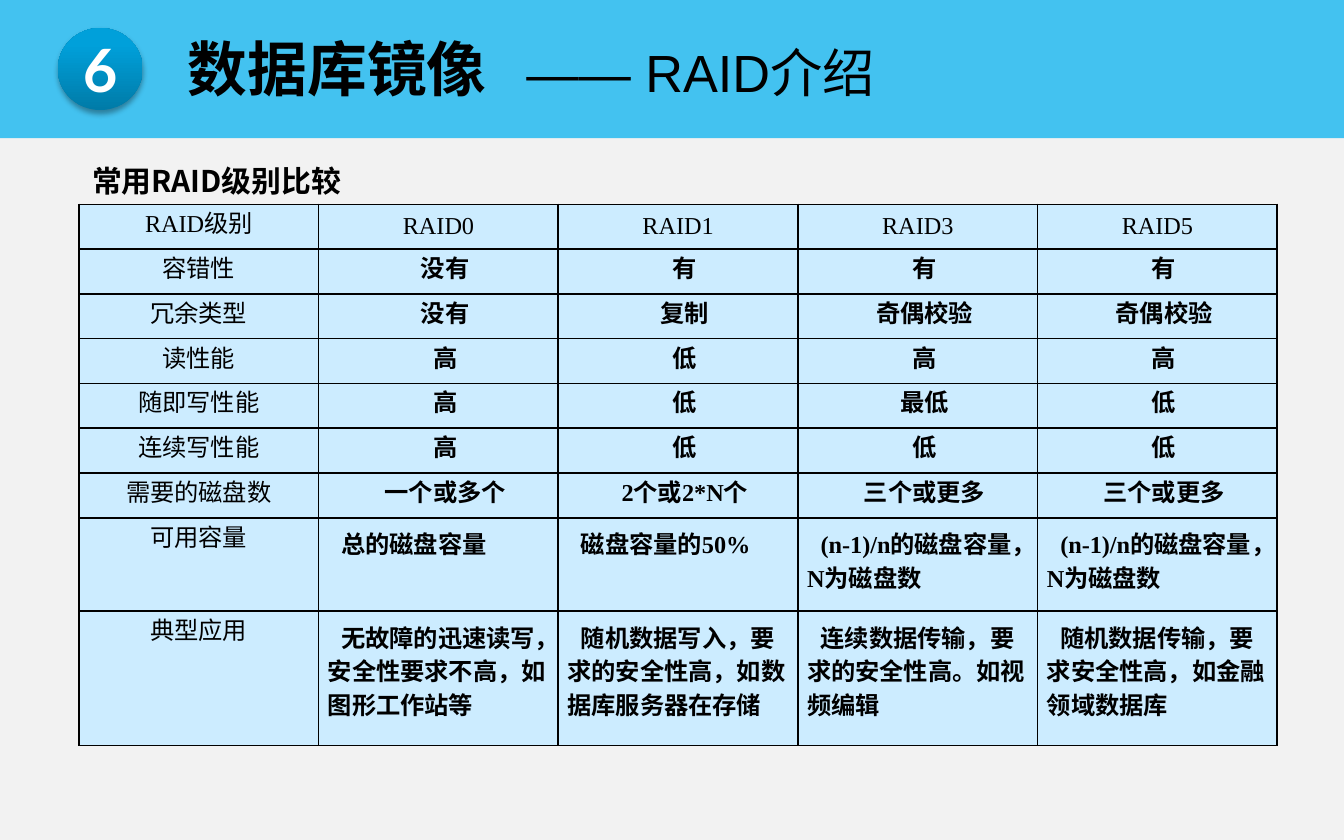
from lxml import etree
from pptx import Presentation
from pptx.dml.color import RGBColor
from pptx.enum.shapes import MSO_SHAPE as Preset
from pptx.enum.text import MSO_ANCHOR as Anchor, PP_ALIGN as Align
from pptx.oxml import parse_xml
from pptx.oxml.ns import nsdecls, qn
from pptx.util import Pt

COLORS = {
    "background": "F2F2F2",
    "band": "00B0F0",
    "cell": "CCECFF",
    "text": "000000",
    "border": "000000",
    "shadow": "000000",
    "white": "FFFFFF",
    "badge_dark": "007BA8",
    "badge_light": "00A0DA",
}
CJK_FONT = "Noto Sans CJK SC"
ROW_HEIGHTS = [24] * 7 + [50, 72]
PROSE_ROWS = 2
RAID_ROWS = [
    ["RAID级别", "RAID0", "RAID1", "RAID3", "RAID5"],
    ["容错性", "没有", "有", "有", "有"],
    ["冗余类型", "没有", "复制", "奇偶校验", "奇偶校验"],
    ["读性能", "高", "低", "高", "高"],
    ["随即写性能", "高", "低", "最低", "低"],
    ["连续写性能", "高", "低", "低", "低"],
    ["需要的磁盘数", "一个或多个", "2个或2*N个", "三个或更多", "三个或更多"],
    ["可用容量", "总的磁盘容量", "磁盘容量的50%",
     "(n-1)/n的磁盘容量，N为磁盘数", "(n-1)/n的磁盘容量，N为磁盘数"],
    ["典型应用", "无故障的迅速读写，安全性要求不高，如图形工作站等",
     "随机数据写入，要求的安全性高，如数据库服务器在存储",
     "连续数据传输，要求的安全性高。如视频编辑",
     "随机数据传输，要求安全性高，如金融领域数据库"],
]


def rgb(name):
    return RGBColor.from_string(COLORS[name])


def write(frame, text, size, font="Arial", color="text", bold=False,
          align=Align.LEFT, indent=0, line=None):
    paragraph = frame.paragraphs[0]
    paragraph.alignment = align
    if line:
        paragraph.line_spacing = Pt(line)
    if indent:
        paragraph._p.get_or_add_pPr().set("indent", str(Pt(indent)))
    run = paragraph.add_run()
    run.text = text
    run.font.size = Pt(size)
    run.font.bold = bold
    run.font.name = font
    run.font.color.rgb = rgb(color)
    etree.SubElement(run._r.rPr, qn("a:ea"), typeface=CJK_FONT)


class SlideBuilder:
    def __init__(self, slide):
        self.slide = slide
        slide.background.fill.solid()
        slide.background.fill.fore_color.rgb = rgb("background")

    def shape(self, preset, *box):
        shape = self.slide.shapes.add_shape(preset, *map(Pt, box))
        shape.shadow.inherit = False
        shape.line.fill.background()
        return shape

    def band(self, *box, opacity):
        band = self.shape(Preset.RECTANGLE, *box)
        band.fill.solid()
        band.fill.fore_color.rgb = rgb("band")
        color = band._element.spPr.find(".//" + qn("a:srgbClr"))
        etree.SubElement(color, qn("a:alpha"), val=str(opacity * 1000))

    def badge(self, text, *box):
        """Round number with an upward gradient and a soft shadow."""
        badge = self.shape(Preset.OVAL, *box)
        badge.fill.gradient()
        badge.fill.gradient_angle = 90
        stops = zip(badge.fill.gradient_stops, (0, 0.8), ("badge_dark", "badge_light"))
        for stop, position, color in stops:
            stop.position = position
            stop.color.rgb = rgb(color)
        effects = badge._element.spPr.find(qn("a:effectLst"))
        effects.append(parse_xml(
            f'<a:outerShdw {nsdecls("a")} blurRad="{Pt(3.1)}" dist="{Pt(1.8)}" '
            f'dir="5400000" rotWithShape="0"><a:srgbClr val="{COLORS["shadow"]}">'
            '<a:alpha val="35000"/></a:srgbClr></a:outerShdw>'))
        frame = badge.text_frame
        frame.margin_left = frame.margin_right = 0
        frame.margin_top = frame.margin_bottom = 0
        frame.word_wrap = False
        frame.vertical_anchor = Anchor.MIDDLE
        write(frame, text, 32, font="Lato", color="white", bold=True, align=Align.CENTER)

    def text(self, text, *box, anchor=Anchor.MIDDLE, **style):
        frame = self.slide.shapes.add_textbox(*map(Pt, box)).text_frame
        frame.word_wrap = True
        frame.vertical_anchor = anchor
        write(frame, text, **style)

    def table(self, rows, heights, left, top, width):
        count = len(rows[0])
        table = self.slide.shapes.add_table(
            len(rows), count, Pt(left), Pt(top), Pt(width), Pt(sum(heights))).table
        table.first_row = table.horz_banding = False
        for column in table.columns:
            column.width = Pt(width / count)
        for i, (values, height) in enumerate(zip(rows, heights)):
            table.rows[i].height = Pt(height)
            for j, value in enumerate(values):
                is_label = i == 0 or j == 0
                is_prose = not is_label and i >= len(rows) - PROSE_ROWS
                self.cell(table.cell(i, j), value, is_label, is_prose)

    def cell(self, cell, text, is_label, is_prose):
        cell.margin_left = cell.margin_right = cell.margin_top = Pt(5)
        cell.margin_bottom = 0
        properties = cell._tc.get_or_add_tcPr()
        for side in "LRTB":
            properties.append(parse_xml(
                f'<a:ln{side} {nsdecls("a")} w="{Pt(1)}"><a:solidFill>'
                f'<a:srgbClr val="{COLORS["border"]}"/></a:solidFill></a:ln{side}>'))
        cell.fill.solid()
        cell.fill.fore_color.rgb = rgb("cell")
        write(cell.text_frame, text, 13, font="Times New Roman", bold=not is_label,
              align=Align.LEFT if is_prose else Align.CENTER,
              indent=0 if is_label else 7.2, line=18 if is_prose else 14)


def main():
    presentation = Presentation()
    presentation.slide_width, presentation.slide_height = Pt(720), Pt(450)
    builder = SlideBuilder(presentation.slides.add_slide(presentation.slide_layouts[6]))
    builder.band(0, 0, 720, 74, opacity=72)
    builder.text("常用RAID级别比较", 42.3, 83.5, 201.6, 29.5, anchor=Anchor.TOP,
                 size=16, font=CJK_FONT, bold=True)
    builder.table(RAID_ROWS, ROW_HEIGHTS, 42.3, 109.5, 642)
    builder.text("—— RAID介绍", 275, 6.5, 249, 63.4, size=28)
    builder.text("数据库镜像", 93.6, 0, 187.2, 72, size=32, bold=True)
    builder.badge("6", 31, 15, 45.4, 44)
    presentation.save("out.pptx")


if __name__ == "__main__":
    main()
